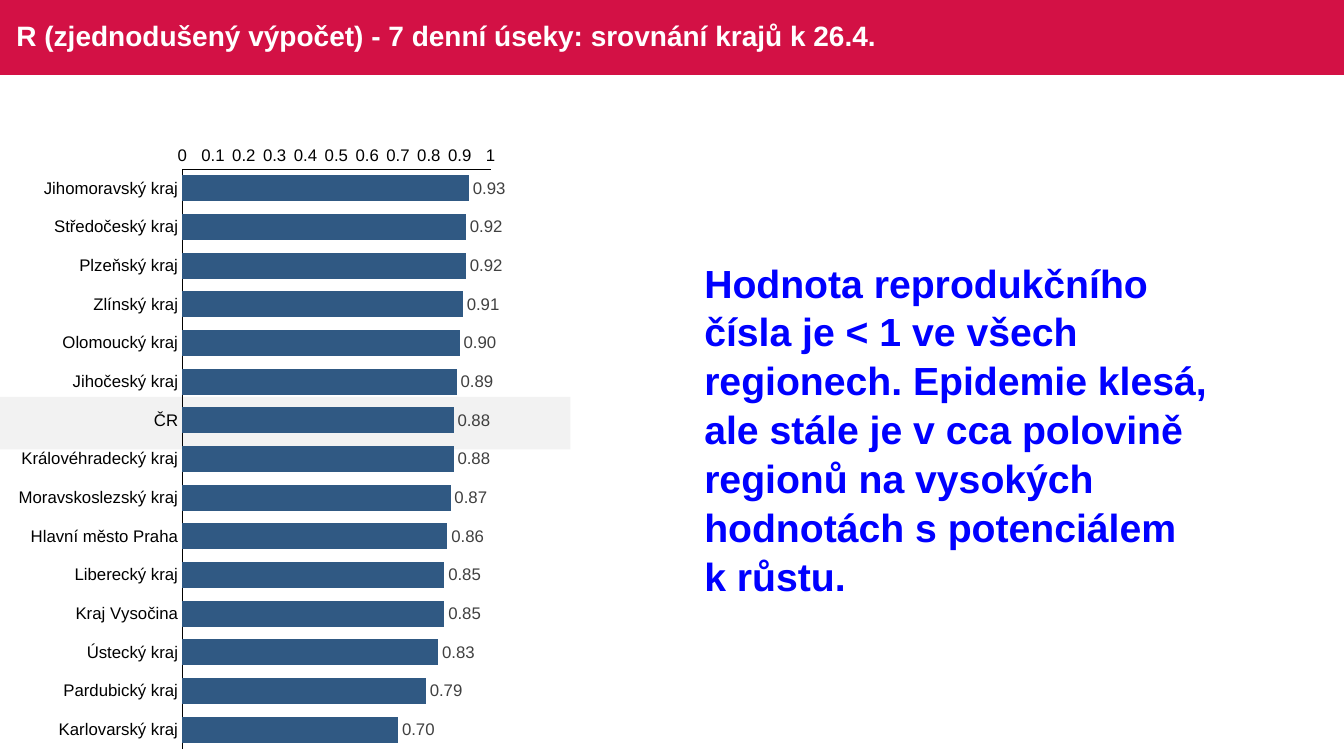
"""Build a slide comparing the reproduction number across Czech regions."""
from lxml import etree
from pptx import Presentation
from pptx import util as u
from pptx.chart.data import CategoryChartData
from pptx.dml.color import RGBColor
from pptx.enum import chart as ch, shapes, text
from pptx.oxml.ns import qn

REGIONS = {
    "Jihomoravský kraj": 0.93, "Středočeský kraj": 0.92, "Plzeňský kraj": 0.92,
    "Zlínský kraj": 0.91, "Olomoucký kraj": 0.90, "Jihočeský kraj": 0.89,
    "ČR": 0.88, "Královéhradecký kraj": 0.88, "Moravskoslezský kraj": 0.87,
    "Hlavní město Praha": 0.86, "Liberecký kraj": 0.85, "Kraj Vysočina": 0.85,
    "Ústecký kraj": 0.83, "Pardubický kraj": 0.79, "Karlovarský kraj": 0.70,
}
CONCLUSION = [
    "Hodnota reprodukčního čísla je < 1 ve všech regionech. Epidemie klesá, "
    "ale stále je v cca polovině regionů na vysokých hodnotách s potenciálem",
    "k růstu.",
]
PLOT_LAYOUT = {"x": 0.35, "y": 0.05, "w": 0.62, "h": 0.93}


def color(value):
    return RGBColor.from_string(value)


class SlideBuilder:
    FONT = "Arial"
    CRIMSON, STRIPE, BAR = "D31145", "F2F2F2", "305983"
    WHITE, BLACK, GREY, BLUE = "FFFFFF", "000000", "404040", "0000FF"

    def __init__(self, deck):
        self.slide = deck.slides.add_slide(deck.slide_layouts[5])

    def style(self, font, size, tint, bold=False):
        font.name, font.size, font.bold = self.FONT, u.Pt(size), bold
        font.color.rgb = color(tint)

    def band(self, left, top, width, height, tint):
        band = self.slide.shapes.add_shape(
            shapes.MSO_SHAPE.RECTANGLE, *map(u.Pt, (left, top, width, height)))
        band.shadow.inherit = False
        band.fill.solid()
        band.fill.fore_color.rgb = color(tint)
        band.line.fill.background()

    def add_lines(self, frame, lines, size, tint, spacing):
        frame.word_wrap = True
        for index, line in enumerate(lines):
            paragraph = frame.add_paragraph() if index else frame.paragraphs[0]
            paragraph.alignment = text.PP_ALIGN.LEFT
            paragraph.line_spacing = spacing
            run = paragraph.add_run()
            run.text = line
            self.style(run.font, size, tint, True)

    def title(self, heading, left, top, width, height):
        title = self.slide.shapes.title
        title.element.getparent().append(title.element)
        title.left, title.top, title.width, title.height = map(
            u.Pt, (left, top, width, height))
        title.text_frame.vertical_anchor = text.MSO_ANCHOR.MIDDLE
        title.text_frame.auto_size = text.MSO_AUTO_SIZE.NONE
        self.add_lines(title.text_frame, [heading], 20, self.WHITE, 0.9)

    def message(self, lines, left, top, width, height):
        message = self.slide.shapes.add_textbox(
            *map(u.Pt, (left, top, width, height)))
        message.text_frame.auto_size = text.MSO_AUTO_SIZE.SHAPE_TO_FIT_TEXT
        self.add_lines(message.text_frame, lines, 28, self.BLUE, 1.04)

    def axis(self, axis):
        axis.has_major_gridlines = False
        axis.major_tick_mark = axis.minor_tick_mark = ch.XL_TICK_MARK.NONE
        axis.format.line.color.rgb = color(self.BLACK)
        axis.format.line.width = u.Pt(0.75)
        self.style(axis.tick_labels.font, 12, self.BLACK)

    def bar_chart(self, values, left, top, width, height):
        data = CategoryChartData(number_format="0.00")
        data.categories = list(values)
        data.add_series("R", list(values.values()))
        chart = self.slide.shapes.add_chart(
            ch.XL_CHART_TYPE.BAR_CLUSTERED,
            *map(u.Pt, (left, top, width, height)), data).chart
        chart.has_legend = chart.has_title = False
        self.style(chart.font, 10, self.BLACK)

        self.axis(chart.category_axis)
        chart.category_axis.reverse_order = True
        scale = chart.value_axis
        self.axis(scale)
        scale.minimum_scale, scale.maximum_scale, scale.major_unit = 0, 1, 0.1
        scale.tick_labels.number_format = "General"
        scale.tick_labels.number_format_is_linked = False

        plot = chart.plots[0]
        plot.gap_width, plot.vary_by_categories = 50, False
        bars = plot.series[0].format.fill
        bars.solid()
        bars.fore_color.rgb = color(self.BAR)
        plot.has_data_labels = True
        labels = plot.data_labels
        labels.show_value = True
        labels.number_format, labels.number_format_is_linked = "#,##0.00", False
        labels.position = ch.XL_LABEL_POSITION.OUTSIDE_END
        self.style(labels.font, 12, self.GREY)
        self.place_plot(chart)

    def place_plot(self, chart):
        area = chart.element.find(".//" + qn("c:plotArea"))
        for old in area.findall(qn("c:layout")):
            area.remove(old)
        layout = etree.Element(qn("c:layout"))
        area.insert(0, layout)
        manual = etree.SubElement(layout, qn("c:manualLayout"))
        settings = {"layoutTarget": "inner", "xMode": "edge", "yMode": "edge"}
        for tag, value in {**settings, **PLOT_LAYOUT}.items():
            etree.SubElement(manual, qn("c:" + tag)).set("val", str(value))


def main():
    deck = Presentation()
    deck.slide_width, deck.slide_height = u.Pt(960), u.Pt(540)
    builder = SlideBuilder(deck)
    builder.band(0, 0, 960, 53.5, builder.CRIMSON)
    builder.band(0, 283.5, 407.5, 37.5, builder.STRIPE)
    builder.title("R (zjednodušený výpočet) - 7 denní úseky: srovnání krajů k 26.4.",
                  4.5, 0, 865, 53.5)
    builder.bar_chart(REGIONS, 5.75, 98.5, 355.5, 445.5)
    builder.message(CONCLUSION, 496, 180, 396, 245)
    deck.save("out.pptx")


if __name__ == "__main__":
    main()
